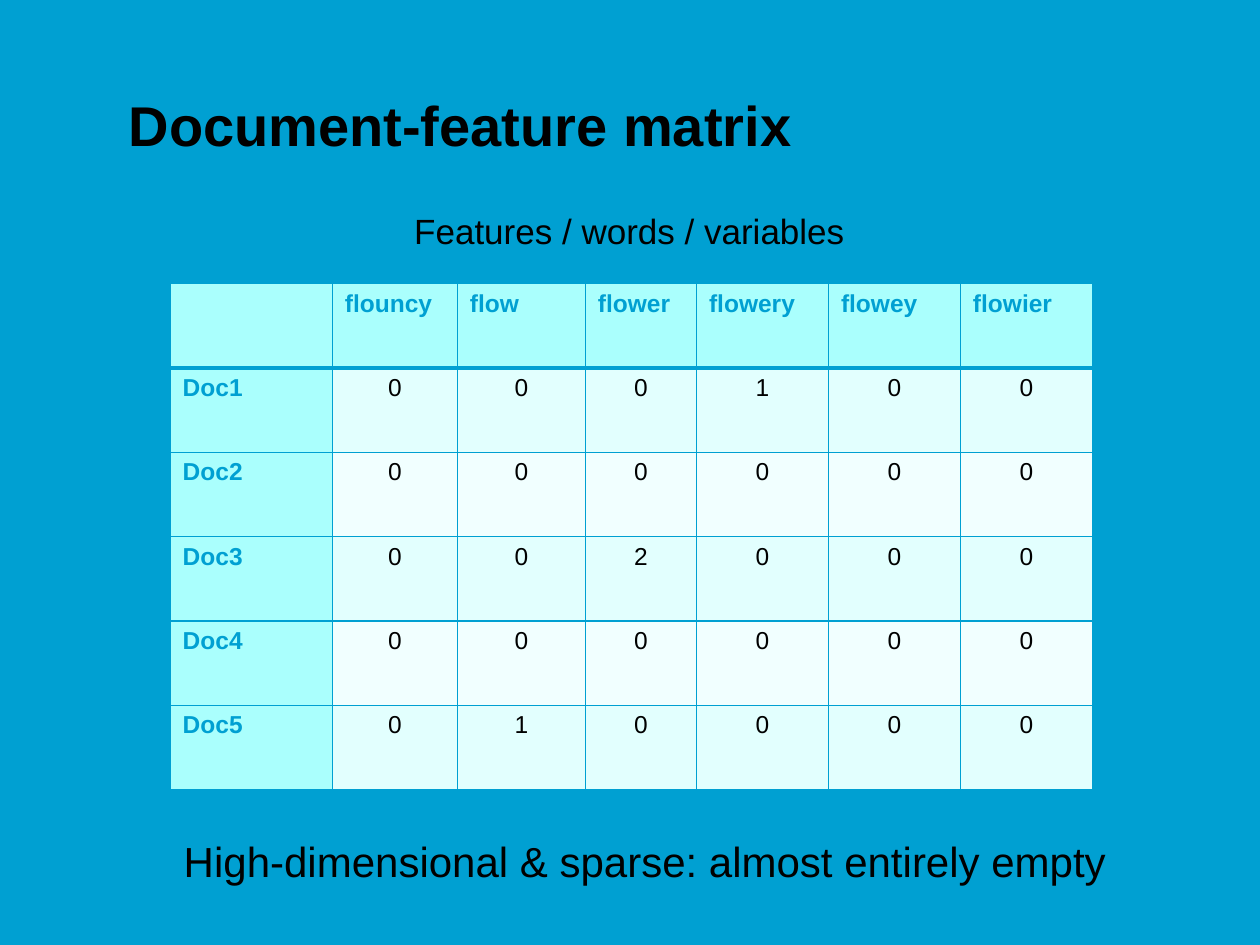
from lxml.etree import SubElement
from pptx import Presentation
from pptx.dml.color import RGBColor
from pptx.enum.text import MSO_ANCHOR, MSO_AUTO_SIZE, PP_ALIGN
from pptx.oxml import parse_xml
from pptx.oxml.ns import nsdecls, qn
from pptx.util import Cm, Pt

BLUE = RGBColor(0x00, 0xA0, 0xD2)
BLACK = RGBColor(0x00, 0x00, 0x00)
HEADER_FILL = RGBColor(0xAA, 0xFF, 0xFD)
BAND_FILLS = (RGBColor(0xF1, 0xFF, 0xFF), RGBColor(0xE2, 0xFF, 0xFE))

TITLE = "Document-feature matrix"
CAPTION = "Features / words / variables"
SUMMARY = "High-dimensional & sparse: almost entirely empty"
FEATURES = ["flouncy", "flow", "flower", "flowery", "flowey", "flowier"]
COUNTS = {
    "Doc1": [0, 0, 0, 1, 0, 0],
    "Doc2": [0, 0, 0, 0, 0, 0],
    "Doc3": [0, 0, 2, 0, 0, 0],
    "Doc4": [0, 0, 0, 0, 0, 0],
    "Doc5": [0, 1, 0, 0, 0, 0],
}
COLUMN_WIDTHS = [3.27, 2.52, 2.58, 2.24, 2.66, 2.66, 2.66]
ROW_HEIGHT = 1.7


def format_text(frame, size, color=BLACK, bold=False, align=PP_ALIGN.LEFT):
    for para in frame.paragraphs:
        para.alignment = align
        for span in para.runs:
            span.font.name = "Arial"
            span.font.size = Pt(size)
            span.font.bold = bold
            span.font.color.rgb = color


def write_box(box, text, place, size, anchor=MSO_ANCHOR.TOP, bold=False):
    box.left, box.top, box.width, box.height = map(Cm, place)
    frame = box.text_frame
    frame.text = text
    frame.word_wrap = True
    frame.auto_size = MSO_AUTO_SIZE.NONE
    frame.vertical_anchor = anchor
    format_text(frame, size, bold=bold)


def remove_bullet(para):
    properties = para._p.get_or_add_pPr()
    properties.set("marL", "0")
    properties.set("indent", "0")
    SubElement(properties, qn("a:buNone"))


def set_borders(cell, widths):
    properties = cell._tc.get_or_add_tcPr()
    for index, (side, width) in enumerate(zip("LRTB", widths)):
        line = parse_xml(
            f'<a:ln{side} {nsdecls("a")} w="{Pt(width)}"><a:solidFill>'
            f'<a:srgbClr val="{BLUE}"/></a:solidFill></a:ln{side}>'
        )
        properties.insert(index, line)


def add_matrix(page):
    rows = [["", *FEATURES]] + [[name, *counts] for name, counts in COUNTS.items()]
    table = page.shapes.add_table(
        len(rows), len(COLUMN_WIDTHS), Cm(3.43), Cm(5.72),
        Cm(sum(COLUMN_WIDTHS)), Cm(ROW_HEIGHT * len(rows)),
    ).table
    for column, width in zip(table.columns, COLUMN_WIDTHS):
        column.width = Cm(width)
    for row_index, values in enumerate(rows):
        table.rows[row_index].height = Cm(ROW_HEIGHT)
        for column_index, value in enumerate(values):
            cell = table.cell(row_index, column_index)
            heading = row_index == 0 or column_index == 0
            cell.text_frame.text = str(value)
            cell.fill.solid()
            cell.fill.fore_color.rgb = HEADER_FILL if heading else BAND_FILLS[row_index % 2]
            if heading:
                format_text(cell.text_frame, 14, BLUE, bold=True)
            else:
                format_text(cell.text_frame, 14, align=PP_ALIGN.CENTER)
            set_borders(cell, (1, 1, 3 if row_index == 1 else 1, 3 if row_index == 0 else 1))


def main():
    deck = Presentation()
    deck.slide_width, deck.slide_height = Cm(25.4), Cm(19.05)
    page = deck.slides.add_slide(deck.slide_layouts[1])
    page.background.fill.solid()
    page.background.fill.fore_color.rgb = BLUE

    write_box(page.shapes.title, TITLE, (2.34, 1.7, 17.15, 1.6), 32, MSO_ANCHOR.BOTTOM, True)
    add_matrix(page)

    summary = page.placeholders[1]
    write_box(summary, SUMMARY, (3.45, 16.71, 21.89, 1.27), 24)
    remove_bullet(summary.text_frame.paragraphs[0])

    caption = page.shapes.add_textbox(0, 0, 0, 0)
    write_box(caption, CAPTION, (8.1, 4.09, 21.89, 1.12), 20)
    caption.text_frame.paragraphs[0].space_before = Pt(4)

    deck.save("out.pptx")


if __name__ == "__main__":
    main()
